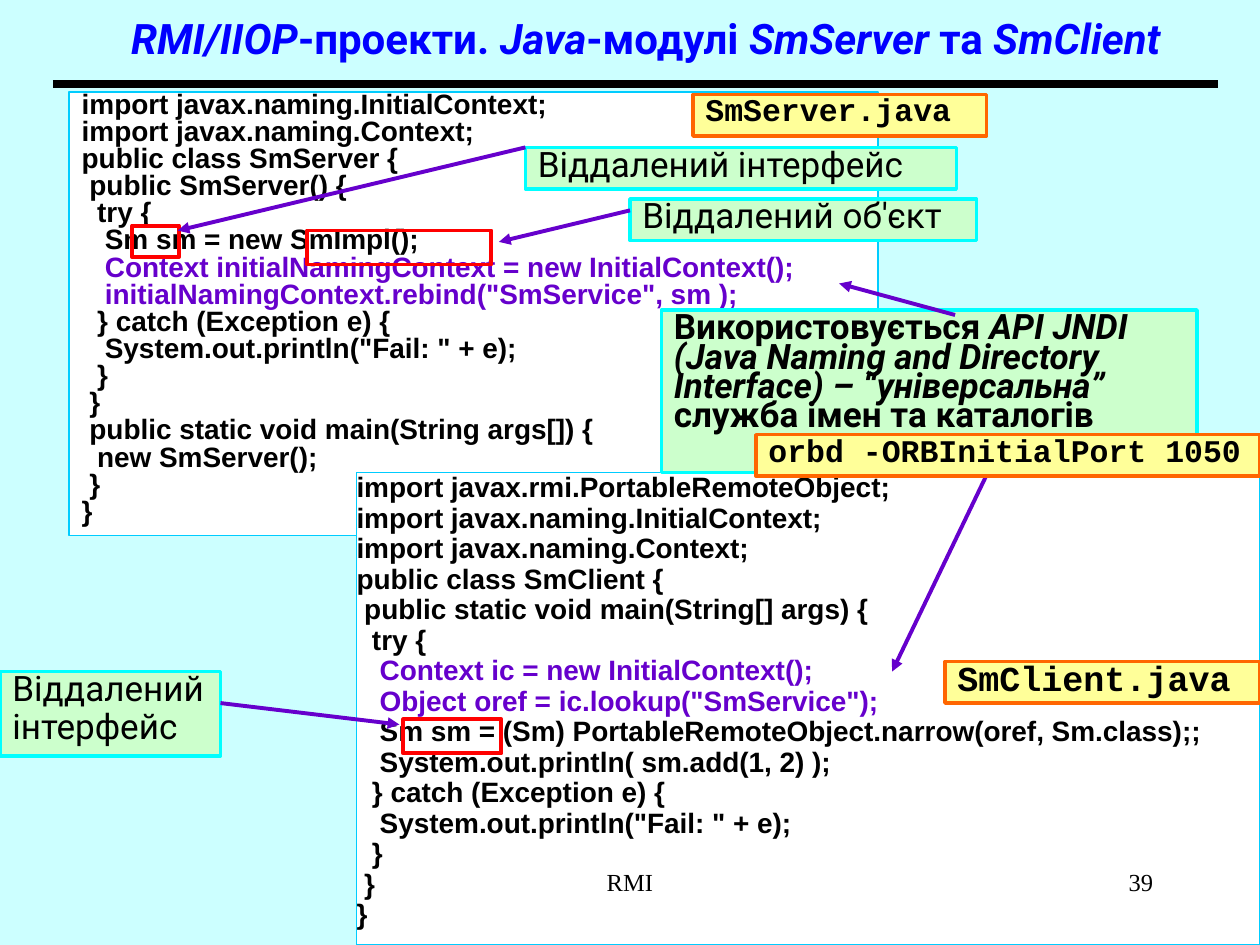
from lxml import etree
from pptx import Presentation, util as u
from pptx.dml.color import RGBColor
from pptx.enum import shapes, text
from pptx.oxml.ns import qn

HUE = {"back": "CCFFFF", "white": "FFFFFF", "black": "000000", "blue": "0000FF",
       "edge": "00CCFF", "cyan": "00FFFF", "mint": "CCFFCC", "sand": "FFFF99",
       "rust": "FF6600", "red": "FF0000", "plum": "6600CC"}
LEFT, MID, RIGHT = text.PP_ALIGN.LEFT, text.PP_ALIGN.CENTER, text.PP_ALIGN.RIGHT

SERVER = """import javax.naming.InitialContext;
import javax.naming.Context;
public class SmServer {
 public SmServer() {
  try {
   Sm sm = new SmImpl();
   Context initialNamingContext = new InitialContext();
   initialNamingContext.rebind("SmService", sm );
  } catch (Exception e) {
   System.out.println("Fail: " + e);
  }
 }
 public static void main(String args[]) {
  new SmServer();
 }
}"""
CLIENT = """import javax.rmi.PortableRemoteObject;
import javax.naming.InitialContext;
import javax.naming.Context;
public class SmClient {
 public static void main(String[] args) {
  try {
   Context ic = new InitialContext();
   Object oref = ic.lookup("SmService");
   Sm sm = (Sm) PortableRemoteObject.narrow(oref, Sm.class);;
   System.out.println( sm.add(1, 2) );
  } catch (Exception e) {
   System.out.println("Fail: " + e);
  }
 }
}"""

prs = Presentation()
prs.slide_width, prs.slide_height = u.Inches(10), u.Inches(7.5)
slide = prs.slides.add_slide(prs.slide_layouts[6])


def tint(name):
    return RGBColor.from_string(HUE[name])


def write(shape, paras, size=20, font="Roboto", hue="black", bold=False, align=LEFT,
          lead=None, gap=0, side=0.1, anchor=text.MSO_ANCHOR.TOP, marked=()):
    """Fill a shape; each paragraph is a list of (words, italic) runs."""
    frame = shape.text_frame
    frame.word_wrap = True
    frame.vertical_anchor = anchor
    frame.margin_left = frame.margin_right = u.Inches(side)
    frame.margin_top = frame.margin_bottom = u.Inches(0.05)
    for n, runs in enumerate(paras):
        para = frame.add_paragraph() if n else frame.paragraphs[0]
        para.alignment = align
        if lead:
            para.line_spacing = lead
        para.space_before = u.Pt(gap if n else 0)
        for words, slant in runs:
            run = para.add_run()
            run.text = words
            run.font.size, run.font.name = u.Pt(size), font
            run.font.bold, run.font.italic = bold, slant
            run.font.color.rgb = tint("plum" if n in marked else hue)


def plain(words):
    return [[(line, False)] for line in words.split("\n")]


def rect(x, y, w, h, fill, edge, width):
    box = slide.shapes.add_shape(shapes.MSO_SHAPE.RECTANGLE,
                                 *map(u.Inches, (x, y, w, h)))
    box.shadow.inherit = False
    if fill:
        box.fill.solid()
        box.fill.fore_color.rgb = tint(fill)
    else:
        box.fill.background()
    box.line.color.rgb, box.line.width = tint(edge), u.Pt(width)
    return box


def label(x, y, w, h, **form):
    box = slide.shapes.add_textbox(*map(u.Inches, (x, y, w, h)))
    write(box, **form)


def line(x, y, dx, dy, hue="plum", width=2.25, arrow=True):
    link = slide.shapes.add_connector(shapes.MSO_CONNECTOR.STRAIGHT,
                                      *map(u.Inches, (x, y, x + dx, y + dy)))
    link.line.color.rgb, link.line.width = tint(hue), u.Pt(width)
    if arrow:
        etree.SubElement(link.line._get_or_add_ln(), qn("a:tailEnd"), type="triangle")
    etree.SubElement(link._element.spPr, qn("a:effectLst"))


def code(box, words, lead, side, marked):
    write(rect(*box, "white", "edge", 1), plain(words), size=16, font="Arial",
          bold=True, lead=lead, gap=4, side=side, marked=marked)


def note(x, y, w, h, words):
    write(rect(x, y, w, h, "mint", "cyan", 2), plain(words), lead=0.7, gap=5)


def tag(x, y, w, words, size=18):
    write(rect(x, y, w, 0.33, "sand", "rust", 2), plain(words), size=size,
          font="Courier New", bold=True, lead=0.7)


def ring(x, y, w, h):
    rect(x, y, w, h, None, "red", 2.25)


def head(box):
    x, y, w, h = box
    runs = [("RMI/IIOP", True), ("-проекти. ", False), ("Java", True),
            ("-модулі ", False), ("SmServer ", True), ("та", False), (" SmClient", True)]
    label(*box, paras=[runs], size=24, hue="blue", bold=True, align=MID, lead=0.8,
          anchor=text.MSO_ANCHOR.MIDDLE)
    line(x + 0.17, y + h, w - 0.5, 0, "black", 4.5, False)


def server(box):
    x, y, w, h = box
    # Naming service note
    runs = [("Використовується ", False),
            ("API JNDI (Java Naming and Directory Interface) – “універсальна” ", True),
            ("служба імен та каталогів", False)]
    write(rect(x + 4.7, y + 1.73, 4.25, 1.29, "mint", "cyan", 2), [runs],
          bold=True, lead=0.7)
    line(x + 7.03, y + 1.77, -0.92, -0.25)
    # Remote interface and remote object
    ring(x + 0.5, y + 1.06, 0.37, 0.25)
    ring(x + 1.89, y + 1.1, 1.46, 0.27)
    note(x + 3.62, y + 0.44, 3.42, 0.33, "Віддалений інтерфейс")
    note(x + 4.45, y + 0.85, 2.75, 0.33, "Віддалений об'єкт")
    line(x + 3.62, y + 0.44, -2.76, 0.66)
    line(x + 4.45, y + 0.94, -1.04, 0.25)
    tag(x + 4.95, y + 0.02, 2.33, "SmServer.java")


def client(box):
    x, y, w, h = box
    # Start command of the naming service
    line(x + 5.01, y, -0.76, 1.58)
    tag(x + 3.17, y - 0.3, 4, "orbd -ORBInitialPort 1050")
    # Remote interface
    ring(x + 0.37, y + 1.96, 0.78, 0.27)
    note(x - 2.83, y + 1.58, 1.75, 0.67, "Віддалений\nінтерфейс")
    line(x - 1.08, y + 1.83, 1.42, 0.17)
    tag(x + 4.67, y + 1.5, 2.5, "SmClient.java", 20)


def foot(box):
    x, y, w, h = box
    form = dict(size=14, font="Times New Roman")
    label(x, y, 3.16, h, paras=plain("RMI"), align=MID, **form)
    label(x + w - 2.08, y, 2.08, h, paras=plain("39"), align=RIGHT, **form)


def main():
    slide.background.fill.solid()
    slide.background.fill.fore_color.rgb = tint("back")
    first, second = (0.55, 0.73, 6.42, 3.52), (2.83, 3.75, 7.17, 3.75)
    # Code panels lie beneath all notes
    code(first, SERVER, 0.6, 0.1, (6, 7))
    code(second, CLIENT, 0.7, 0, (6, 7))
    head((0.25, 0, 9.75, 0.67))
    server(first)
    client(second)
    foot((3.42, 6.83, 5.83, 0.5))
    prs.save("out.pptx")


if __name__ == "__main__":
    main()
